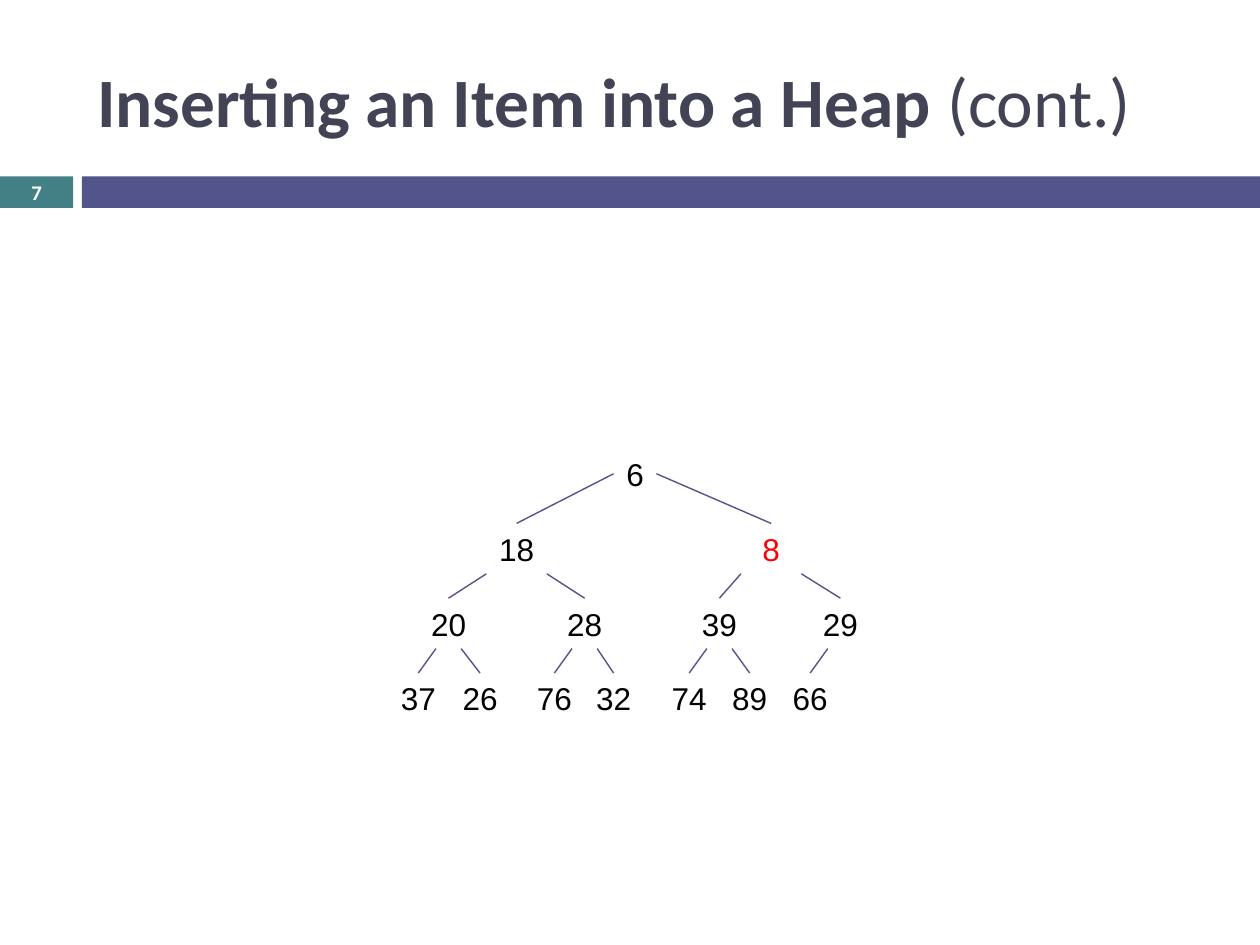
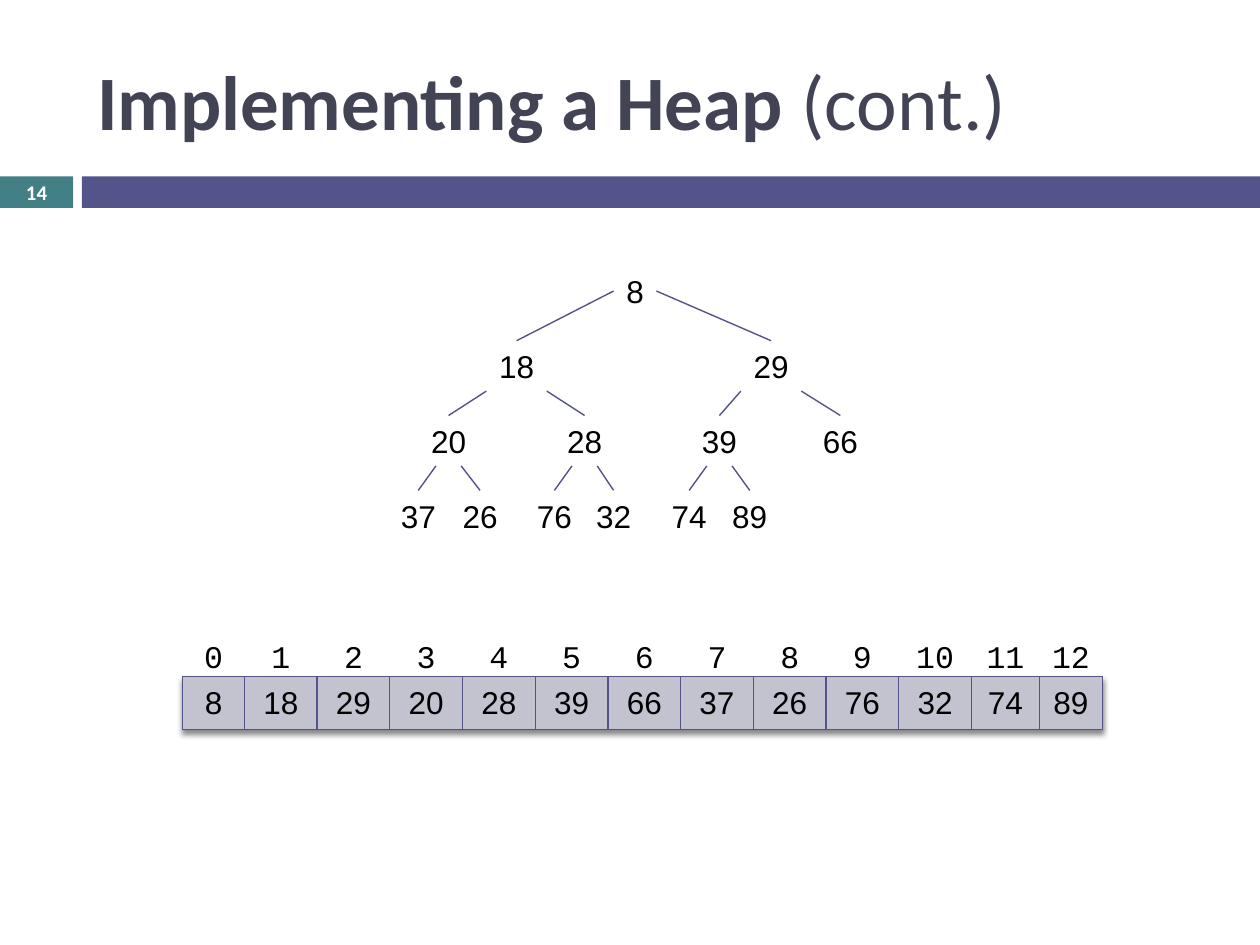
from dataclasses import dataclass
from itertools import pairwise

from lxml.etree import SubElement
from pptx import Presentation
from pptx.dml.color import RGBColor
from pptx.enum.shapes import MSO_CONNECTOR, MSO_SHAPE
from pptx.enum.text import MSO_ANCHOR, MSO_AUTO_SIZE, PP_ALIGN
from pptx.oxml.ns import qn
from pptx.util import Inches, Pt

COLUMNS, ROWS = 100, 75
SLIDE_WIDTH, SLIDE_HEIGHT = Inches(10), Inches(7.5)
COLORS = {
    "title": "424456",
    "band": "53548A",
    "number_band": "438086",
    "array": "C3C3CF",
    "text": "000000",
    "highlight": "FF0000",
    "number": "FFFFFF",
    "shadow": "000000",
}
TITLE_FONT, NODE_FONT, INDEX_FONT = "Calibri", "Arial", "Courier New"
LINE_WIDTH = Pt(0.79)
LABEL_WIDTH, ROOT_WIDTH, LABEL_HEIGHT = 4.8, 3.4, 4
LEVEL_PITCH = 5.94
NODE_LEVELS = [
    [19.6],
    [10.2, 30.4],
    [4.8, 15.6, 26.3, 35.9],
    [2.4, 7.3, 13.2, 17.9, 23.9, 28.7, 33.5],
]
NODE_SPOTS = [(x, level) for level, xs in enumerate(NODE_LEVELS) for x in xs]
EDGE_REACH = {1: 2.4, 2: 1}
ARRAY_DIVIDERS = [4.9 + 5.77 * i for i in range(11)] + [68]


@dataclass
class Box:
    """A region measured in grid columns and rows."""

    left: float
    top: float
    width: float
    height: float

    def inner(self, x, y, width, height):
        """Return a region offset from this one's corner."""
        return Box(self.left + x, self.top + y, width, height)

    def emu(self):
        """Return left, top, width and height in slide units."""
        return (*point(self.left, self.top), *point(self.width, self.height))


TITLE_BOX = Box(6.7, 2.5, 89.2, 10.8)
BAND_BOX = Box(0, 14, 100, 2.5)
ARRAY_BOX = Box(14.5, 53.7, 73, 4.2)


def point(x, y):
    """Convert grid columns and rows to slide units."""
    return round(x * SLIDE_WIDTH / COLUMNS), round(y * SLIDE_HEIGHT / ROWS)


def style(run, font, size, color, bold=False):
    """Format one run."""
    run.font.name = font
    run.font.size = Pt(size)
    run.font.bold = bold
    run.font.color.rgb = RGBColor.from_string(COLORS[color])


def add_label(slide, box, text, font=NODE_FONT, size=18, color="text", bold=False):
    """Add a centred text label."""
    label = slide.shapes.add_textbox(*box.emu())
    frame = label.text_frame
    frame.word_wrap = True
    frame.margin_left = frame.margin_right = frame.margin_top = frame.margin_bottom = 0
    frame.vertical_anchor = MSO_ANCHOR.MIDDLE
    frame.text = str(text)
    frame.paragraphs[0].alignment = PP_ALIGN.CENTER
    style(frame.paragraphs[0].runs[0], font, size, color, bold)
    return label


def add_bar(slide, box, color):
    """Add a plain filled rectangle."""
    bar = slide.shapes.add_shape(MSO_SHAPE.RECTANGLE, *box.emu())
    bar.shadow.inherit = False
    bar.fill.solid()
    bar.fill.fore_color.rgb = RGBColor.from_string(COLORS[color])
    bar.line.fill.background()
    return bar


def outline(line):
    """Apply the shared thin line style."""
    line.color.rgb = RGBColor.from_string(COLORS["band"])
    line.width = LINE_WIDTH


def add_line(slide, start, end):
    """Add a thin straight line between two grid points."""
    connector = slide.shapes.add_connector(
        MSO_CONNECTOR.STRAIGHT, *point(*start), *point(*end)
    )
    outline(connector.line)
    SubElement(connector._element.spPr, qn("a:effectLst"))
    return connector


def add_heading(slide, topic, size):
    """Fill the title with a bold topic and a regular suffix."""
    title = slide.shapes.title
    title.left, title.top, title.width, title.height = TITLE_BOX.emu()
    frame = title.text_frame
    frame.word_wrap = True
    frame.auto_size = MSO_AUTO_SIZE.NONE
    frame.vertical_anchor = MSO_ANCHOR.MIDDLE
    heading = frame.paragraphs[0]
    heading.text = f"{topic} "
    heading.alignment = PP_ALIGN.LEFT
    heading.add_run().text = "(cont.)"
    for run, bold in zip(heading.runs, (True, False)):
        style(run, TITLE_FONT, size, "title", bold)


def add_band(slide, box, number):
    """Draw the divider band and the slide number."""
    number_box = box.inner(0, 0, 5.8, box.height)
    add_bar(slide, number_box, "number_band")
    add_bar(slide, box.inner(6.5, 0, box.width - 6.5, box.height), "band")
    add_label(slide, number_box, number, TITLE_FONT, 11.9, "number", True)


def add_heap_tree(slide, box, values, highlight=None):
    """Draw a binary heap given in level order."""
    nodes = []
    for index, (value, (x, level)) in enumerate(zip(values, NODE_SPOTS)):
        width = LABEL_WIDTH if level else ROOT_WIDTH
        y = level * LEVEL_PITCH
        color = "highlight" if value == highlight else "text"
        label_box = box.inner(x - width / 2, y, width, LABEL_HEIGHT)
        node = add_label(slide, label_box, value, color=color)
        nodes.append(node)
        if not index:
            continue
        parent = (index - 1) // 2
        parent_x, parent_level = NODE_SPOTS[parent]
        side = 1 if index % 2 == 0 else -1
        reach = EDGE_REACH.get(parent_level, 0)
        parent_bottom = box.top + parent_level * LEVEL_PITCH + LABEL_HEIGHT
        edge = add_line(
            slide,
            (box.left + x, box.top + y),
            (box.left + parent_x + side * reach, parent_bottom),
        )
        edge.begin_connect(node, 0)
        if parent_level == 0:
            edge.end_connect(nodes[parent], 3 if side > 0 else 1)


def add_heap_array(slide, box, values):
    """Draw the array cells with an index above each value."""
    array = add_bar(slide, box, "array")
    outline(array.line)
    shadow = SubElement(
        array._element.spPr.find(qn("a:effectLst")),
        qn("a:outerShdw"),
        blurRad=str(Pt(3)),
        dist=str(Pt(2.4)),
        dir="5400000",
        rotWithShape="0",
    )
    shade = SubElement(shadow, qn("a:srgbClr"), val=COLORS["shadow"])
    SubElement(shade, qn("a:alpha"), val="45000")
    for x in ARRAY_DIVIDERS:
        add_line(
            slide,
            (box.left + x, box.top),
            (box.left + x, box.top + box.height),
        )
    cells = pairwise([0, *ARRAY_DIVIDERS, box.width])
    for index, (value, (left, right)) in enumerate(zip(values, cells)):
        width = right - left
        index_box = box.inner(left, -3.6, width, LABEL_HEIGHT)
        add_label(slide, index_box, index, INDEX_FONT)
        add_label(slide, box.inner(left, 0, width, LABEL_HEIGHT), value)


def add_heap_slide(deck, topic, title_size, number):
    """Add a slide with the shared title and band."""
    slide = deck.slides.add_slide(deck.slide_layouts[5])
    add_heading(slide, topic, title_size)
    add_band(slide, BAND_BOX, number)
    return slide


def main():
    """Build and save both heap slides."""
    deck = Presentation()
    deck.slide_width, deck.slide_height = SLIDE_WIDTH, SLIDE_HEIGHT

    inserting = add_heap_slide(deck, "Inserting an Item into a Heap", 39.6, 7)
    inserted_heap = [6, 18, 8, 20, 28, 39, 29, 37, 26, 76, 32, 74, 89, 66]
    add_heap_tree(inserting, Box(30.8, 35.6, 38.3, 21.8), inserted_heap, highlight=8)

    implementing = add_heap_slide(deck, "Implementing a Heap", 44, 14)
    stored_heap = [8, 18, 29, 20, 28, 39, 66, 37, 26, 76, 32, 74, 89]
    add_heap_tree(implementing, Box(30.8, 21.1, 38.3, 21.8), stored_heap)
    add_heap_array(implementing, ARRAY_BOX, stored_heap)

    deck.save("out.pptx")


if __name__ == "__main__":
    main()
